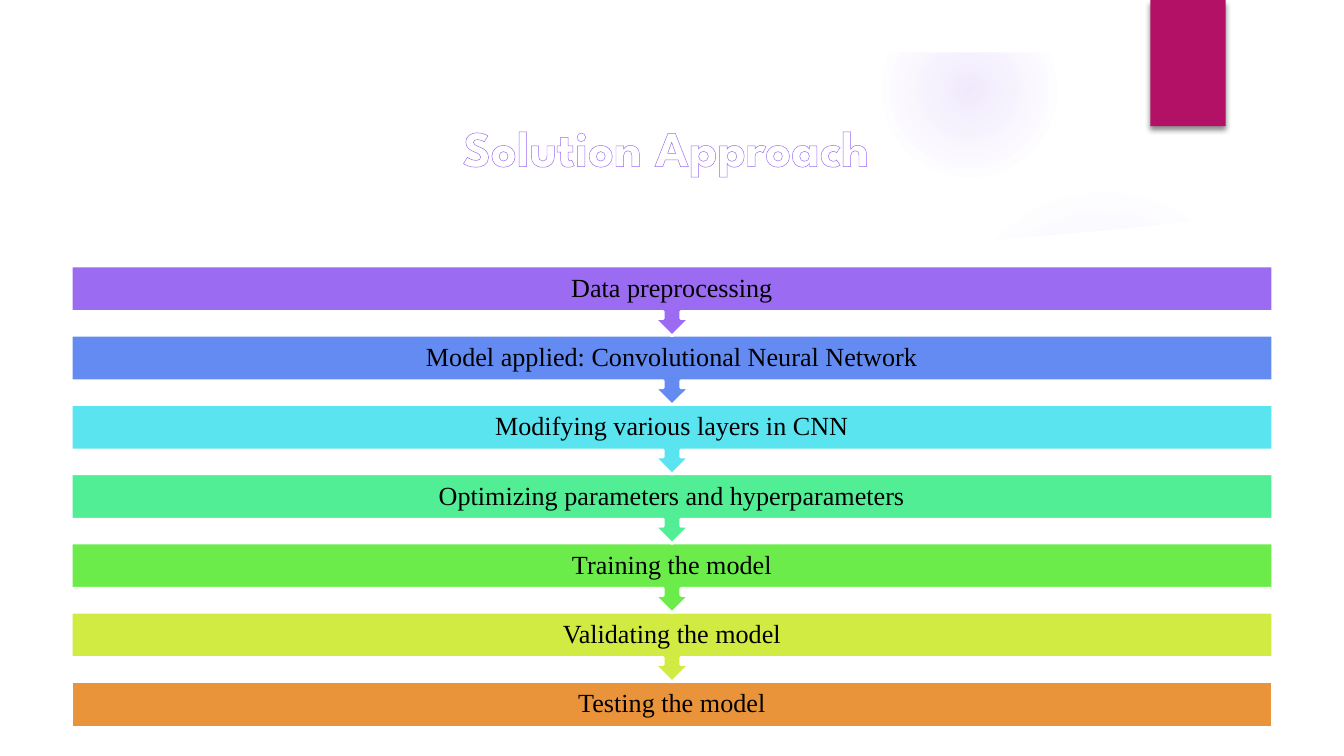
from dataclasses import dataclass

from pptx import Presentation
from pptx.dml.color import RGBColor
from pptx.enum import shapes, text
from pptx.oxml import parse_xml
from pptx.oxml.ns import nsdecls
from pptx.util import Inches, Pt

SHAPE = shapes.MSO_SHAPE


@dataclass(frozen=True)
class Theme:
    white: str = "FFFFFF"
    ink: str = "000000"
    violet: str = "9B6BF2"
    magenta: str = "B31166"
    title_font: str = "League Spartan"
    body_font: str = "Times New Roman"
    title_size: int = 27
    body_size: int = 14


THEME = Theme()
PAGE_WIDTH = 10
PAGE_HEIGHT = PAGE_WIDTH * 9 / 16

STEPS = [
    ("Data preprocessing", THEME.violet),
    ("Model applied: Convolutional Neural Network", "638BF1"),
    ("Modifying various layers in CNN", "5AE4EF"),
    ("Optimizing parameters and hyperparameters", "52EE96"),
    ("Training the model", "6BEC4A"),
    ("Validating the model", "D1EB42"),
    ("Testing the model", "E9943A"),
]
STEP_LEFT, STEP_WIDTH = 0.53, 8.94
FIRST_TOP, LAST_TOP = 1.98, 5.07
STEP_PITCH = (LAST_TOP - FIRST_TOP) / (len(STEPS) - 1)
CALLOUT_HEIGHT, BAR_HEIGHT = 0.52, 0.34

SHEET = [
    (0.38, 1.53), (0.85, 1.59), (1.62, 1.68), (2.7, 1.77), (4.01, 1.84),
    (5.3, 1.86), (6.5, 1.84), (7.32, 1.79), (7.95, 1.74), (8.58, 1.68),
    (9.21, 1.6), (9.63, 1.53), (9.63, 5.25), (0.38, 5.25),
]
FRAME_OUTER = [(0, 0), (0, PAGE_HEIGHT), (PAGE_WIDTH, PAGE_HEIGHT), (PAGE_WIDTH, 0)]
FRAME_INNER = [(9.6, 5.23), (9.6, 0.39), (0.39, 0.39), (0.39, 5.23)]


class Painter:
    def __init__(self, page, theme):
        self.page = page
        self.theme = theme

    def paint(self, shape, fill, line=None):
        shape.shadow.inherit = False
        shape.fill.solid()
        shape.fill.fore_color.rgb = RGBColor.from_string(fill)
        if line:
            shape.line.color.rgb = RGBColor.from_string(line)
            shape.line.width = Pt(1.5)
        else:
            shape.line.fill.background()

    def preset(self, kind, left, top, width, height, fill, line=None):
        shape = self.page.shapes.add_shape(
            kind, Inches(left), Inches(top), Inches(width), Inches(height))
        self.paint(shape, fill, line)
        return shape

    def outline(self, *contours):
        """Draw a white freeform from one or more closed contours."""
        builder = None
        for contour in contours:
            points = [(Inches(x), Inches(y)) for x, y in contour]
            if builder is None:
                builder = self.page.shapes.build_freeform(*points[0])
            else:
                builder.move_to(*points[0])
            builder.add_line_segments(points[1:], close=True)
        self.paint(builder.convert_to_shape(), self.theme.white)

    def glow(self, left, top, size, stops):
        """Draw a circle that fades out; stops are (position, opacity) in percent."""
        shape = self.preset(SHAPE.OVAL, left, top, size, size, self.theme.violet)
        stop_xml = "".join(
            f'<a:gs pos="{position * 1000}"><a:srgbClr val="{self.theme.violet}">'
            f'<a:alpha val="{opacity * 1000}"/></a:srgbClr></a:gs>'
            for position, opacity in stops)
        gradient = parse_xml(
            f'<a:gradFill {nsdecls("a")} rotWithShape="1"><a:gsLst>{stop_xml}</a:gsLst>'
            '<a:path path="circle"><a:fillToRect l="50000" t="50000" r="50000" '
            'b="50000"/></a:path></a:gradFill>')
        properties = shape._element.spPr
        properties.replace(properties.find("{*}solidFill"), gradient)

    def ribbon(self, left, top, width, height):
        shape = self.preset(SHAPE.RECTANGLE, left, top, width, height,
                            self.theme.magenta)
        shape._element.spPr.find("{*}effectLst").append(parse_xml(
            f'<a:outerShdw {nsdecls("a")} blurRad="{Pt(3)}" dist="{Pt(2)}" '
            f'dir="5400000"><a:srgbClr val="{self.theme.ink}"><a:alpha val="45000"/>'
            '</a:srgbClr></a:outerShdw>'))

    def label(self, words, left, top, width, height, font, size, color):
        box = self.page.shapes.add_textbox(
            Inches(left), Inches(top), Inches(width), Inches(height))
        frame = box.text_frame
        frame.word_wrap = True
        frame.vertical_anchor = text.MSO_ANCHOR.MIDDLE
        frame.text = words
        para = frame.paragraphs[0]
        para.alignment = text.PP_ALIGN.CENTER
        span = para.runs[0]
        span.font.name = font
        span.font.size = Pt(size)
        span.font.color.rgb = RGBColor.from_string(color)
        return para

    def title(self, words, left, top, width, height):
        para = self.label(words, left, top, width, height, self.theme.title_font,
                          self.theme.title_size, self.theme.white)
        span = para.runs[0]
        span.font.bold = True
        span.font._element.insert(0, parse_xml(
            f'<a:ln {nsdecls("a")} w="{Pt(0.8)}"><a:solidFill>'
            f'<a:srgbClr val="{self.theme.violet}"/></a:solidFill></a:ln>'))

    def step(self, words, top, fill, is_last):
        if is_last:
            self.preset(SHAPE.RECTANGLE, STEP_LEFT, top, STEP_WIDTH, BAR_HEIGHT,
                        fill, self.theme.white)
        else:
            callout = self.preset(SHAPE.UP_ARROW_CALLOUT, STEP_LEFT, top, STEP_WIDTH,
                                  CALLOUT_HEIGHT, fill, self.theme.white)
            callout.rotation = 180
        para = self.label(words, STEP_LEFT, top, STEP_WIDTH, BAR_HEIGHT,
                          self.theme.body_font, self.theme.body_size, self.theme.ink)
        para.line_spacing = 0.9


def main():
    deck = Presentation()
    deck.slide_width, deck.slide_height = Inches(PAGE_WIDTH), Inches(PAGE_HEIGHT)
    page = deck.slides.add_slide(deck.slide_layouts[6])
    painter = Painter(page, THEME)

    painter.glow(7.06, 1.38, 2.31, [(0, 7), (36, 6), (69, 0)])
    painter.glow(6.56, 0.01, 1.31, [(0, 14), (36, 7), (73, 0)])
    painter.outline(SHEET)
    painter.outline(FRAME_OUTER, FRAME_INNER)
    painter.ribbon(8.56, 0, 0.56, 0.94)
    painter.title("Solution Approach ", 0.41, 0.8, 9.19, 0.58)

    # The last step lies at the back, so each arrow overlaps the bar below it.
    for index, (words, fill) in reversed(list(enumerate(STEPS))):
        painter.step(words, FIRST_TOP + index * STEP_PITCH, fill,
                     is_last=index == len(STEPS) - 1)

    deck.save("out.pptx")


if __name__ == "__main__":
    main()
